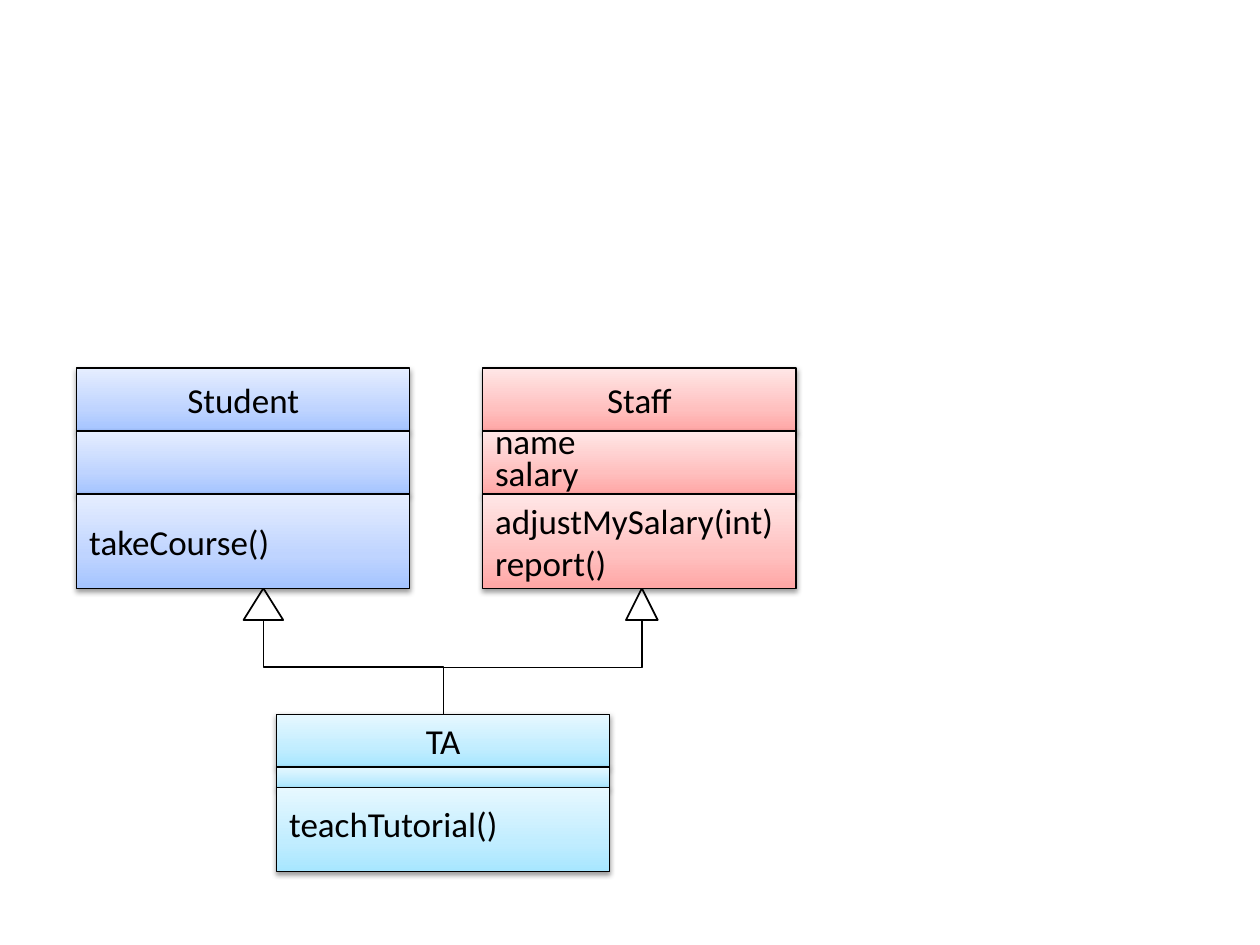
from copy import deepcopy

from lxml import etree
from pptx import Presentation
from pptx.dml.color import RGBColor
from pptx.enum.shapes import MSO_CONNECTOR as Connector, MSO_SHAPE as Shape
from pptx.enum.text import MSO_ANCHOR as Anchor, PP_ALIGN as Align
from pptx.oxml.ns import qn
from pptx.util import Cm, Pt

BLACK = RGBColor(0x00, 0x00, 0x00)
WHITE = RGBColor(0xFF, 0xFF, 0xFF)
# Gradients run from the bottom colour to the top colour
BLUE = [RGBColor(0xA4, 0xC4, 0xFF), RGBColor(0xBF, 0xD4, 0xFF), RGBColor(0xE6, 0xEE, 0xFF)]
RED = [RGBColor(0xFF, 0xA6, 0xA5), RGBColor(0xFF, 0xC0, 0xBF), RGBColor(0xFF, 0xE7, 0xE7)]
CYAN = [RGBColor(0xA7, 0xE6, 0xFF), RGBColor(0xC1, 0xED, 0xFF), RGBColor(0xE7, 0xF8, 0xFF)]
STOP_POSITIONS = [0, 0.35, 1]

TEXT_FORMAT = {"name": "Calibri", "size": Pt(20)}
TIGHT = {"line_spacing": 0.6}
CENTERED = {"alignment": Align.CENTER}

CLASS_TOP, TRIANGLE_TOP, TRIANGLE_HEIGHT = 7.42, 11.86, 0.64
TA_LEFT, TA_TOP, TA_WIDTH = 5.58, 14.4, 6.71


def set_line(shape, width):
    shape.line.color.rgb = BLACK
    shape.line.width = Pt(width)


def fill_gradient(shape, colors):
    shape.fill.gradient()
    stops = shape._element.spPr.find(".//" + qn("a:gsLst"))
    stops.append(deepcopy(stops[0]))
    for stop, color, position in zip(shape.fill.gradient_stops, colors, STOP_POSITIONS):
        stop.color.rgb = color
        stop.position = position
    shape.fill.gradient_angle = 90


def add_soft_shadow(shape):
    shape.shadow.inherit = False
    effects = shape._element.spPr.find(qn("a:effectLst"))
    shadow = etree.SubElement(effects, qn("a:outerShdw"), blurRad=str(Pt(3.1)),
                              dist=str(Pt(1.6)), dir="5400000", rotWithShape="0")
    color = etree.SubElement(shadow, qn("a:srgbClr"), val=str(BLACK))
    etree.SubElement(color, qn("a:alpha"), val="38000")


def write_lines(shape, lines, paragraph_format):
    frame = shape.text_frame
    frame.word_wrap = True
    frame.vertical_anchor = Anchor.MIDDLE
    frame.text = "\n".join(lines)
    for index, paragraph in enumerate(frame.paragraphs):
        for name, value in ({"alignment": Align.LEFT} | paragraph_format).items():
            setattr(paragraph, name, value)
        if index and paragraph_format is TIGHT:
            paragraph.space_before = Pt(4)
        for name, value in TEXT_FORMAT.items():
            setattr(paragraph.font, name, value)
        paragraph.font.color.rgb = BLACK


def add_class(slide, left, top, width, colors, compartments):
    """Stack compartments, each given as height, lines and paragraph format."""
    for height, lines, paragraph_format in compartments:
        shape = slide.shapes.add_shape(Shape.RECTANGLE, Cm(left), Cm(top), Cm(width), Cm(height))
        fill_gradient(shape, colors)
        set_line(shape, 0.75)
        add_soft_shadow(shape)
        if lines:
            write_lines(shape, lines, paragraph_format)
        top += height


def add_triangle(slide, center, width):
    shape = slide.shapes.add_shape(Shape.FLOWCHART_EXTRACT, Cm(center - width / 2),
                                   Cm(TRIANGLE_TOP), Cm(width), Cm(TRIANGLE_HEIGHT))
    shape.fill.solid()
    shape.fill.fore_color.rgb = WHITE
    set_line(shape, 1)
    shape.shadow.inherit = False


def add_upward_elbow(slide, start_x, start_y, end_x, end_y):
    """Lay the elbow on its side, then turn it so that it leaves upwards."""
    middle_x, middle_y = (start_x + end_x) / 2, (start_y + end_y) / 2
    half_rise, half_run = (start_y - end_y) / 2, (start_x - end_x) / 2
    connector = slide.shapes.add_connector(
        Connector.ELBOW,
        Cm(middle_x - half_rise), Cm(middle_y + half_run),
        Cm(middle_x + half_rise), Cm(middle_y - half_run))
    properties = connector._element.spPr
    properties.find(qn("a:xfrm")).set("rot", "16200000")
    set_line(connector, 0.75)
    etree.SubElement(properties, qn("a:effectLst"))


def add_inheritance(slide, parent_center, triangle_width):
    add_triangle(slide, parent_center, triangle_width)
    add_upward_elbow(slide, TA_LEFT + TA_WIDTH / 2, TA_TOP,
                     parent_center, TRIANGLE_TOP + TRIANGLE_HEIGHT)


def main():
    presentation = Presentation()
    presentation.slide_width, presentation.slide_height = Cm(25.4), Cm(19.05)
    slide = presentation.slides.add_slide(presentation.slide_layouts[6])

    add_class(slide, TA_LEFT, TA_TOP, TA_WIDTH, CYAN, [
        (1.06, ["TA"], CENTERED),
        (0.42, [], {}),
        (1.69, ["teachTutorial()"], TIGHT)])
    add_inheritance(slide, 5.31, 0.8)
    add_inheritance(slide, 12.94, 0.64)
    add_class(slide, 9.73, CLASS_TOP, 6.32, RED, [
        (1.27, ["Staff"], CENTERED),
        (1.27, ["name", "salary"], TIGHT),
        (1.9, ["adjustMySalary(int)", "report()"], {})])
    add_class(slide, 1.55, CLASS_TOP, 6.71, BLUE, [
        (1.27, ["Student"], CENTERED),
        (1.27, [], {}),
        (1.9, ["takeCourse()"], {})])

    presentation.save("out.pptx")


if __name__ == "__main__":
    main()
